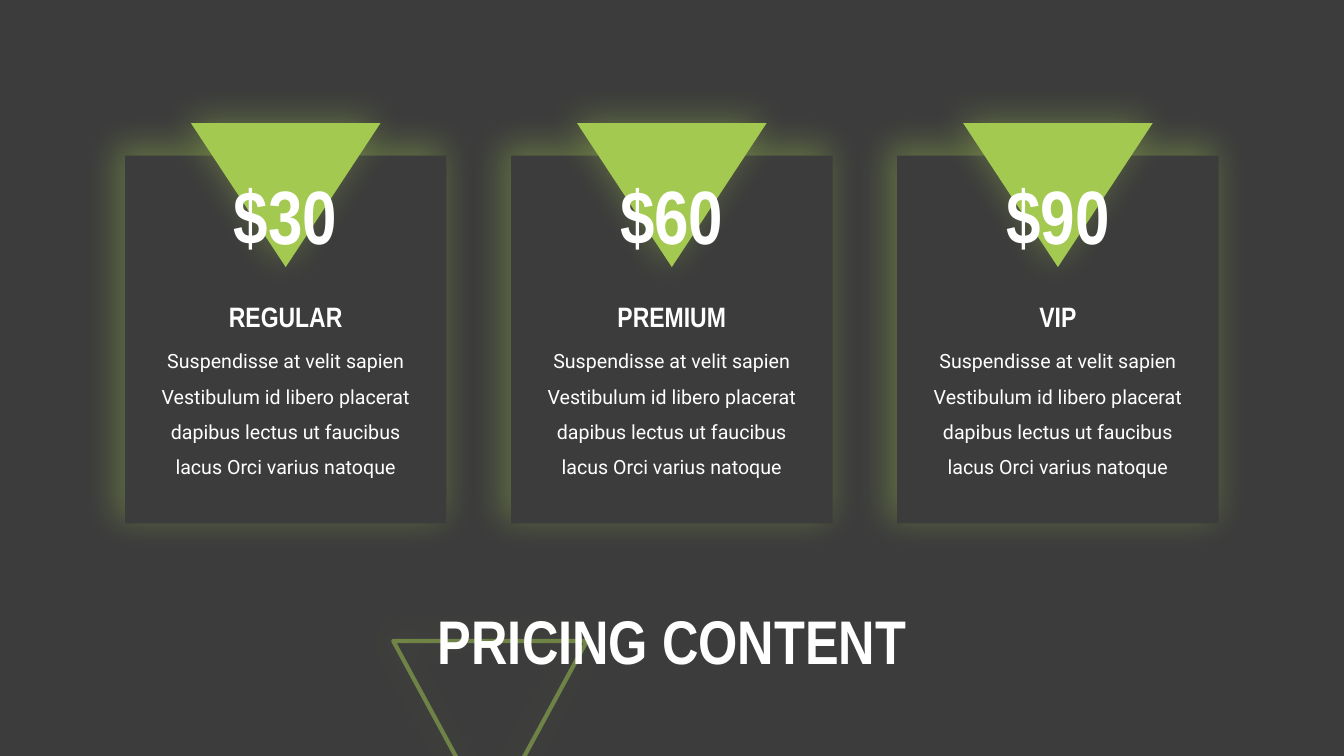
"""Build the pricing slide with three plan cards."""
from pptx import Presentation, util as u
from pptx.dml import color
from pptx.enum import shapes, text
from pptx.oxml import parse_xml
from pptx.oxml.ns import nsdecls, qn

COLORS = {"dark": "3C3C3C", "green": "A3C951", "white": "FFFFFF"}
HEADING, BODY = "Arial Narrow", "Roboto"
WIDTH, HEIGHT = 33.87, 19.05
FIRST_CARD, CARD_PITCH = 3.15, 9.73
PLANS = [("$30", "REGULAR"), ("$60", "PREMIUM"), ("$90", "VIP")]
DETAILS = ("Suspendisse at velit sapien Vestibulum id libero placerat "
           "dapibus lectus ut faucibus lacus Orci varius natoque")


def rgb(name):
    return color.RGBColor.from_string(COLORS[name])


def write(frame, words, size, font=HEADING, bold=True, spacing=None):
    paragraph = frame.paragraphs[0]
    paragraph.alignment = text.PP_ALIGN.CENTER
    paragraph.line_spacing = spacing
    run = paragraph.add_run()
    run.text = words
    run.font.size = u.Pt(size)
    run.font.name = font
    run.font.bold = bold
    run.font.color.rgb = rgb("white")


class PricingSlide:
    def __init__(self, deck):
        self.slide = deck.slides.add_slide(deck.slide_layouts[6])
        background = self.slide.background.fill
        background.solid()
        background.fore_color.rgb = rgb("dark")

    def fade(self, paint, percent):
        solid = paint.find(qn("a:solidFill"))
        solid[0].append(parse_xml(
            f'<a:alpha {nsdecls("a")} val="{percent * 1000}"/>'))

    def glow(self, shape):
        shape.shadow.inherit = False
        effects = shape._element.spPr.find(qn("a:effectLst"))
        effects.append(parse_xml(
            f'<a:outerShdw {nsdecls("a")} blurRad="{u.Pt(25)}" sx="102000" '
            'sy="102000" algn="ctr" rotWithShape="0">'
            f'<a:srgbClr val="{COLORS["green"]}"><a:alpha val="35000"/>'
            '</a:srgbClr></a:outerShdw>'))

    def flap(self, side, tip):
        corners = [(WIDTH, 0), (WIDTH, side), (WIDTH / 2, tip), (0, side)]
        builder = self.slide.shapes.build_freeform(0, 0)
        builder.add_line_segments([(u.Cm(x), u.Cm(y)) for x, y in corners])
        flap = builder.convert_to_shape()
        flap.shadow.inherit = False
        flap.fill.solid()
        flap.fill.fore_color.rgb = rgb("dark")
        flap.line.fill.background()
        self.fade(flap._element.spPr, 80)

    def glowing(self, kind, box, fill=None):
        shape = self.slide.shapes.add_shape(kind, *map(u.Cm, box))
        shape.rotation = 180
        if fill:
            shape.fill.solid()
            shape.fill.fore_color.rgb = rgb(fill)
            shape.line.fill.background()
        else:
            shape.fill.background()
            shape.line.color.rgb = rgb("green")
            shape.line.width = u.Pt(3)
            self.fade(shape._element.spPr.find(qn("a:ln")), 50)
        self.glow(shape)

    def label(self, words, box, size, anchor=text.MSO_ANCHOR.TOP, **style):
        frame = self.slide.shapes.add_textbox(*map(u.Cm, box)).text_frame
        frame.word_wrap = True
        frame.vertical_anchor = anchor
        write(frame, words, size, **style)

    def card(self, left, price, plan):
        preset = shapes.MSO_SHAPE
        self.glowing(preset.RECTANGLE, (left, 3.92, 8.1, 9.27), "dark")
        self.glowing(preset.ISOSCELES_TRIANGLE,
                     (left + 1.66, 3.1, 4.78, 3.63), "green")
        self.label(price, (left + 1.93, 4.14, 4.24, 2.57), 54)
        self.label(plan, (left + 1.66, 7.42, 4.78, 1.12), 20)
        self.label(DETAILS, (left + 0.48, 8.38, 7.14, 3.76), 14,
                   font=BODY, bold=False, spacing=1.5)


def main():
    deck = Presentation()
    deck.slide_width, deck.slide_height = u.Cm(WIDTH), u.Cm(HEIGHT)
    pricing = PricingSlide(deck)
    pricing.flap(2.41, 11.43)
    pricing.glowing(shapes.MSO_SHAPE.ISOSCELES_TRIANGLE,
                    (9.91, 16.15, 4.88, 4.5))
    pricing.label("PRICING CONTENT", (8.31, 14.99, 17.27, 2.49), 44,
                  anchor=text.MSO_ANCHOR.MIDDLE, spacing=0.9)
    for index, (price, plan) in enumerate(PLANS):
        pricing.card(FIRST_CARD + index * CARD_PITCH, price, plan)
    deck.save("out.pptx")


if __name__ == "__main__":
    main()
